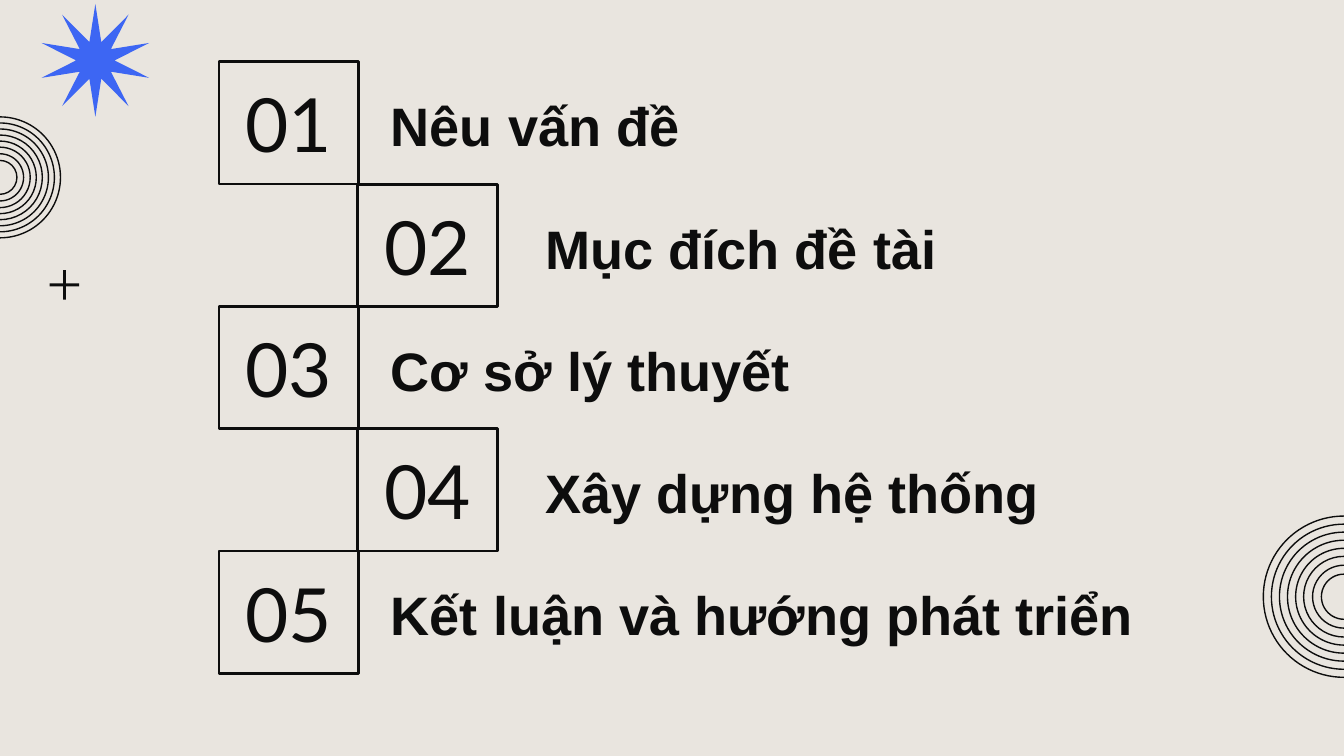
from dataclasses import dataclass

from pptx import Presentation
from pptx.dml.color import RGBColor
from pptx.enum import shapes, text
from pptx.util import Inches, Pt


@dataclass(frozen=True)
class Theme:
    paper: RGBColor = RGBColor(0xE9, 0xE5, 0xDF)
    ink: RGBColor = RGBColor(0x0D, 0x0D, 0x0D)
    accent: RGBColor = RGBColor(0x3D, 0x66, 0xF3)
    number_font: str = "Lato"
    heading_font: str = "Arial"
    number_size: Pt = Pt(40)
    heading_size: Pt = Pt(29)
    box_line: Pt = Pt(1.5)
    ring_line: Pt = Pt(0.75)


THEME = Theme()
SECTIONS = [
    ("Nêu vấn đề", 4.6),
    ("Mục đích đề tài", 4.6),
    ("Cơ sở lý thuyết", 4.6),
    ("Xây dựng hệ thống", 5.82),
    ("Kết luận và hướng phát triển", 5.84),
]
BOX_LEFTS = (1.63, 2.66)
HEADING_LEFTS = (2.81, 3.96)
BOX_TOP, BOX_WIDTH, BOX_HEIGHT = 0.46, 1.04, 0.91
RING_SCALES = (1, 0.9, 0.8, 0.7, 0.6, 0.5, 0.39, 0.28)


def add_filled(slide, preset, left, top, width, height, color, thickness):
    ornament = slide.shapes.add_shape(
        preset, Inches(left), Inches(top), Inches(width), Inches(height))
    ornament.shadow.inherit = False
    ornament.adjustments[0] = thickness
    ornament.fill.solid()
    ornament.fill.fore_color.rgb = color
    ornament.line.fill.background()


def add_outlined(parent, preset, left, top, width, height, weight):
    outline = parent.shapes.add_shape(
        preset, Inches(left), Inches(top), Inches(width), Inches(height))
    outline.shadow.inherit = False
    outline.fill.background()
    outline.line.color.rgb = THEME.ink
    outline.line.width = weight
    return outline


def add_rings(slide, center_x, center_y, diameter):
    rings = slide.shapes.add_group_shape()
    for scale in RING_SCALES:
        size = diameter * scale
        add_outlined(rings, shapes.MSO_SHAPE.OVAL, center_x - size / 2,
                     center_y - size / 2, size, size, THEME.ring_line)


def write(frame, content, font_name, size, bold=False):
    frame.text = content
    font = frame.paragraphs[0].runs[0].font
    font.name = font_name
    font.size = size
    font.bold = bold
    font.color.rgb = THEME.ink


def add_number(slide, number, left, top):
    box = add_outlined(slide, shapes.MSO_SHAPE.RECTANGLE, left, top,
                       BOX_WIDTH, BOX_HEIGHT, THEME.box_line)
    frame = box.text_frame
    frame.margin_left = frame.margin_right = Inches(0.1)
    frame.margin_top = frame.margin_bottom = Inches(0.1)
    frame.vertical_anchor = text.MSO_ANCHOR.MIDDLE
    write(frame, f"{number:02d}", THEME.number_font, THEME.number_size)
    frame.paragraphs[0].alignment = text.PP_ALIGN.CENTER


def add_heading(slide, title, left, top, width):
    heading = slide.shapes.add_textbox(
        Inches(left), Inches(top), Inches(width), Inches(0.59))
    frame = heading.text_frame
    frame.word_wrap = True
    frame.auto_size = text.MSO_AUTO_SIZE.SHAPE_TO_FIT_TEXT
    write(frame, title, THEME.heading_font, THEME.heading_size, bold=True)


def main():
    deck = Presentation()
    deck.slide_width = Inches(10)
    deck.slide_height = Inches(10 * 9 / 16)
    slide = deck.slides.add_slide(deck.slide_layouts[6])
    slide.background.fill.solid()
    slide.background.fill.fore_color.rgb = THEME.paper

    add_filled(slide, shapes.MSO_SHAPE.STAR_10_POINT,
               0.31, 0.03, 0.8, 0.84, THEME.accent, 0.17)
    add_filled(slide, shapes.MSO_SHAPE.MATH_PLUS,
               0.33, 1.97, 0.3, 0.3, THEME.ink, 0.069)
    add_rings(slide, 0, 1.32, 0.9)
    add_rings(slide, 10, 4.44, 1.2)

    for index, (title, width) in enumerate(SECTIONS):
        side = index % 2
        top = BOX_TOP + index * BOX_HEIGHT
        add_number(slide, index + 1, BOX_LEFTS[side], top)
        add_heading(slide, title, HEADING_LEFTS[side], top + 0.18, width)

    deck.save("out.pptx")


if __name__ == "__main__":
    main()
